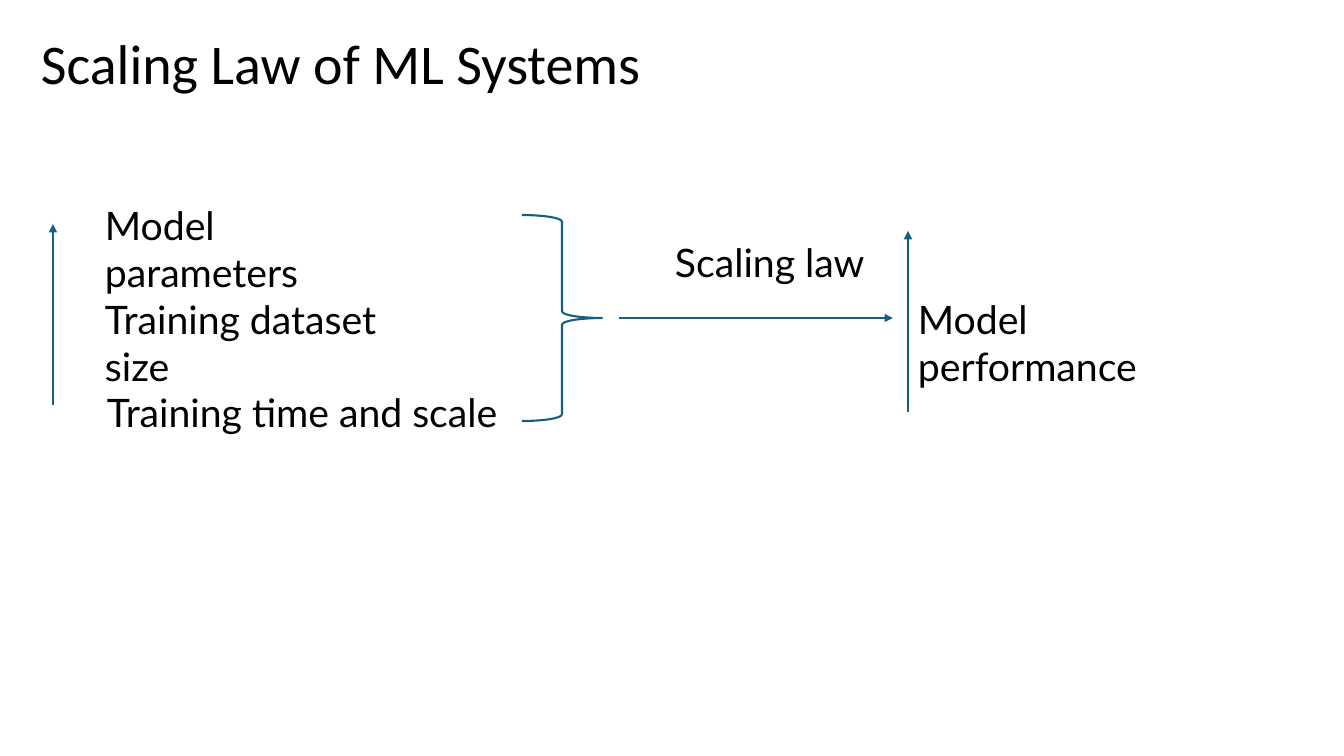
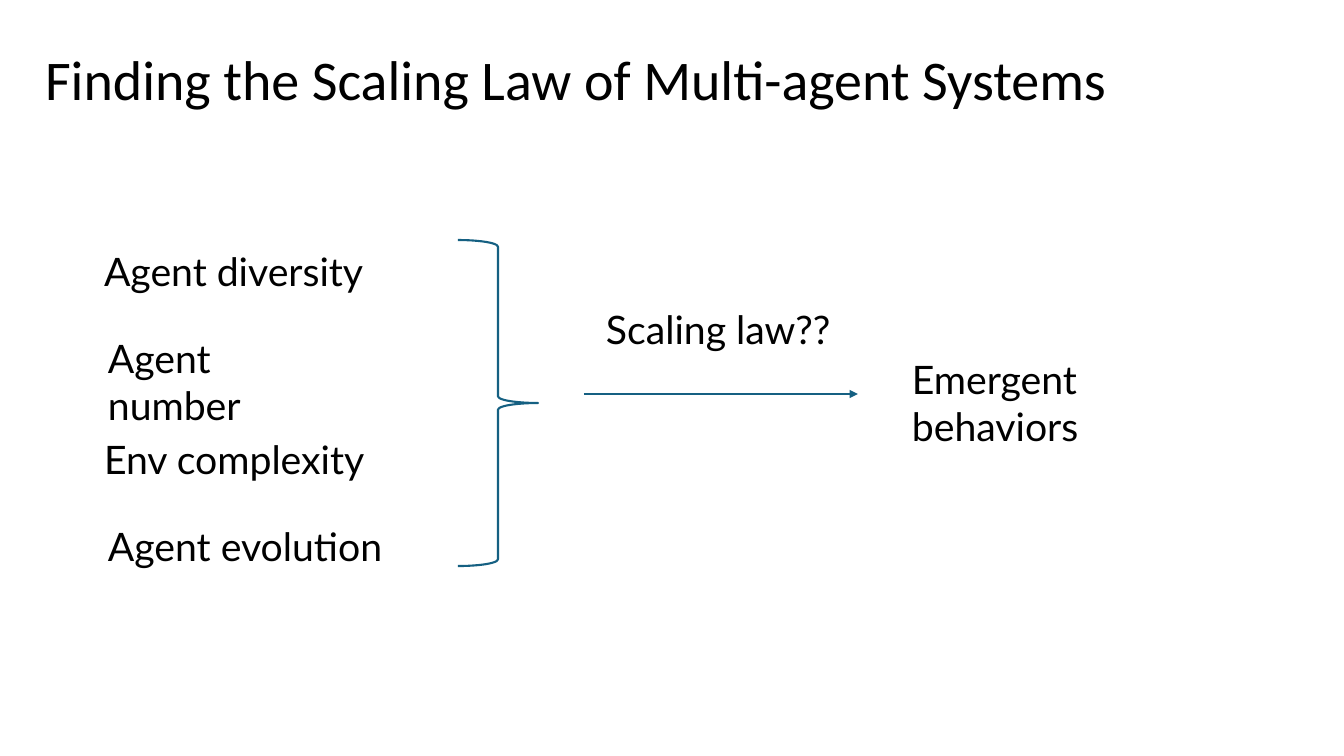
from lxml import etree
from pptx import Presentation
from pptx.dml.color import RGBColor
from pptx.enum.shapes import MSO_CONNECTOR, MSO_SHAPE
from pptx.enum.text import MSO_ANCHOR, MSO_AUTO_SIZE, PP_ALIGN
from pptx.oxml.ns import qn
from pptx.util import Pt

STRAIGHT = MSO_CONNECTOR.STRAIGHT
RIGHT_BRACE = MSO_SHAPE.RIGHT_BRACE
TOP = MSO_ANCHOR.TOP
FIXED = MSO_AUTO_SIZE.NONE
LEFT = PP_ALIGN.LEFT

SCALE = 12192000 / 1344
BLACK = "000000"
ACCENT = "156082"
LINE_WIDTH = Pt(1.5)
ONE_LINE, TWO_LINES = 57, 104
TITLE_HEIGHT = 78
BRACE_WIDTH = 80


def px(*lengths):
    return [round(length * SCALE) for length in lengths]


def write(box, text, font="Lato", size=28, color=BLACK, inset=10):
    frame = box.text_frame
    frame.word_wrap = True
    frame.auto_size = FIXED
    frame.vertical_anchor = TOP
    frame.margin_left, frame.margin_right = px(inset, 10)
    frame.margin_top, frame.margin_bottom = px(5, 5)
    para = frame.paragraphs[0]
    para.alignment = LEFT
    span = para.add_run()
    span.text = text
    span.font.name = font
    span.font.size = Pt(size)
    span.font.color.rgb = RGBColor.from_string(color)


pages = [
    {
        "title": ("Scaling Law of ML Systems", 25, 23, 867),
        "labels": [
            ("Model parameters", 95, 196, 260, TWO_LINES),
            ("Training dataset size", 95, 290, 310, TWO_LINES),
            ("Training time and scale", 97, 383, 426, ONE_LINE),
            ("Model performance", 908, 290, 280, TWO_LINES),
            ("Scaling law", 665, 233, 216, ONE_LINE),
        ],
        "brace": (522, 215, 206),
        "arrows": [
            (619, 318, 893, 318),
            (53, 405, 53, 224),
            (908, 412, 908, 231),
        ],
    },
    {
        "title": ("Finding the Scaling Law of Multi-agent Systems", 29, 40, 1147),
        "labels": [
            ("Agent diversity", 94, 242, 672, ONE_LINE),
            ("Agent number", 98, 329, 200, TWO_LINES),
            ("Env complexity", 94, 430, 423, ONE_LINE),
            ("Agent evolution", 98, 517, 423, ONE_LINE),
            ("Emergent behaviors", 902, 350, 250, TWO_LINES),
            ("Scaling law??", 596, 300, 256, ONE_LINE),
        ],
        "brace": (458, 240, 326),
        "arrows": [(584, 394, 858, 394)],
    },
]

deck = Presentation()
deck.slide_width, deck.slide_height = px(1344, 756)
title_only = deck.slide_layouts[5]

for page in pages:
    slide = deck.slides.add_slide(title_only)
    shapes = slide.shapes

    text, left, top, width = page["title"]
    title = shapes.title
    title.left, title.top, title.width, title.height = px(left, top, width, TITLE_HEIGHT)
    write(title, text, font="Calibri", size=40, inset=16)

    for text, *place in page["labels"]:
        write(shapes.add_textbox(*px(*place)), text)

    left, top, height = page["brace"]
    brace = shapes.add_shape(RIGHT_BRACE, *px(left, top, BRACE_WIDTH, height))
    brace.shadow.inherit = False
    brace.fill.background()
    brace.line.color.rgb = RGBColor.from_string(ACCENT)
    brace.line.width = LINE_WIDTH

    for ends in page["arrows"]:
        arrow = shapes.add_connector(STRAIGHT, *px(*ends))
        arrow.line.color.rgb = RGBColor.from_string(ACCENT)
        arrow.line.width = LINE_WIDTH
        etree.SubElement(arrow.line._get_or_add_ln(), qn("a:tailEnd"), type="triangle")
        etree.SubElement(arrow._element.spPr, qn("a:effectLst"))

deck.save("out.pptx")
